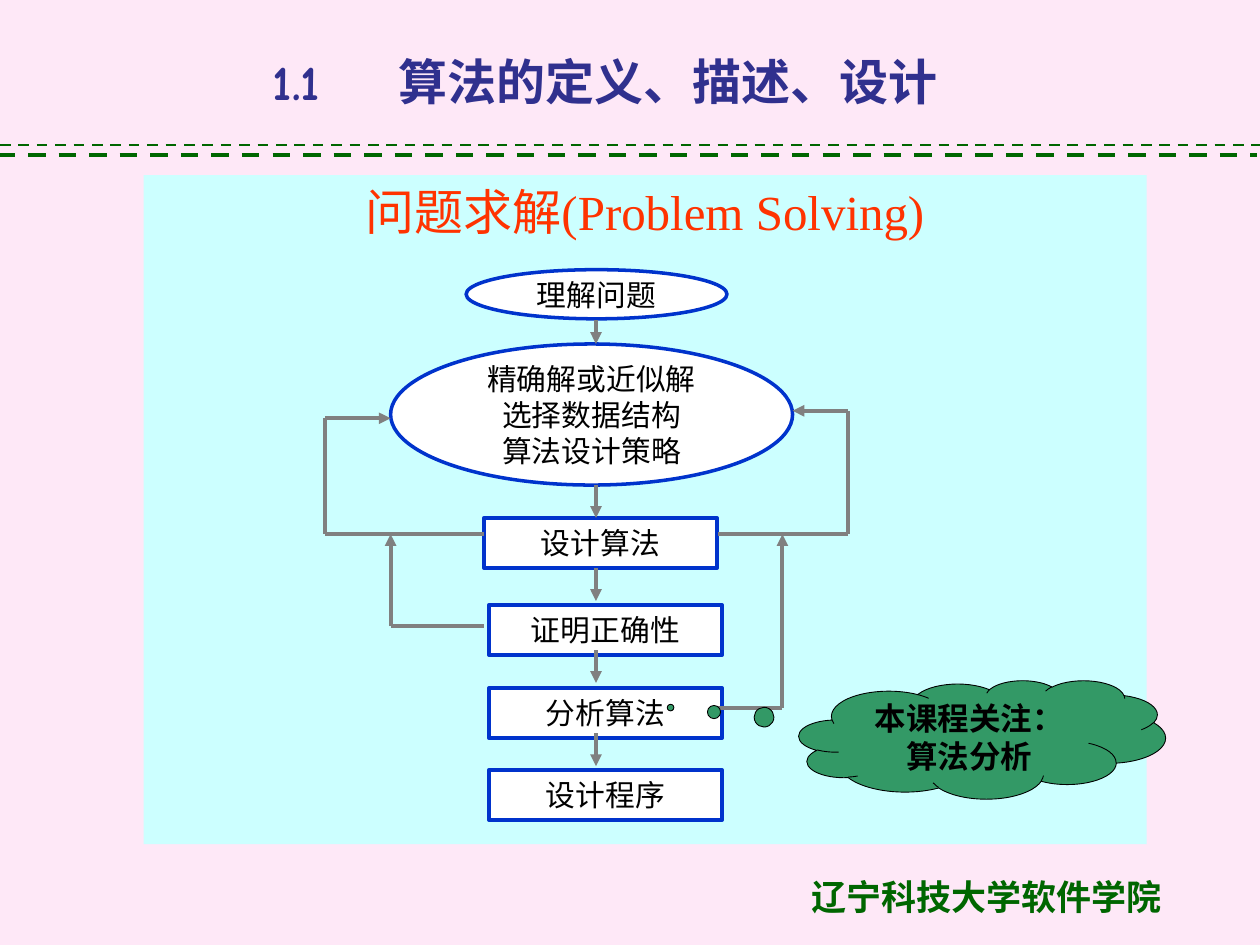
from dataclasses import dataclass
from itertools import pairwise

from pptx import Presentation
from pptx.dml.color import RGBColor
from pptx.enum.dml import MSO_LINE
from pptx.enum.shapes import MSO_CONNECTOR, MSO_SHAPE
from pptx.enum.text import MSO_ANCHOR, MSO_AUTO_SIZE, PP_ALIGN
from pptx.oxml.ns import qn
from pptx.util import Inches, Pt
from lxml import etree

RECT, OVAL, CLOUD = MSO_SHAPE.RECTANGLE, MSO_SHAPE.OVAL, MSO_SHAPE.CLOUD_CALLOUT
STRAIGHT = MSO_CONNECTOR.STRAIGHT
DASH = MSO_LINE.DASH
TOP, MIDDLE = MSO_ANCHOR.TOP, MSO_ANCHOR.MIDDLE
LEFT, CENTER = PP_ALIGN.LEFT, PP_ALIGN.CENTER
FIT_SHAPE = MSO_AUTO_SIZE.SHAPE_TO_FIT_TEXT


@dataclass(frozen=True)
class Theme:
    background: str = "FEE8F7"
    panel: str = "CCFFFF"
    node: str = "FFFFFF"
    border: str = "0033CC"
    arrow: str = "808080"
    green: str = "006600"
    cloud: str = "339966"
    heading: str = "30308E"
    topic: str = "FF3300"
    ink: str = "000000"
    serif: str = "Times New Roman"
    sans: str = "Arial"
    display: str = "Comic Neue"
    heading_size: float = 28
    footer_size: float = 20
    cloud_size: float = 18
    node_size: float = 17
    border_width: float = 2
    arrow_width: float = 2.25


def rgb(value):
    return RGBColor.from_string(value)


def write(s, text, *, font, size, color, bold=False, align=CENTER,
          anchor=TOP, wrap=True, tab=None):
    tf = s.text_frame
    tf.word_wrap = wrap
    tf.vertical_anchor = anchor
    for i, line in enumerate(text.split("\n")):
        p = tf.add_paragraph() if i else tf.paragraphs[0]
        p.alignment = align
        if tab:
            tabs = etree.SubElement(p._p.get_or_add_pPr(), qn("a:tabLst"))
            etree.SubElement(tabs, qn("a:tab"), pos=str(Inches(tab)), algn="l")
        r = p.add_run()
        r.text = line
        r.font.name = font
        r.font.size = Pt(size)
        r.font.bold = bold
        r.font.color.rgb = rgb(color)


class SlideBuilder:
    def __init__(self, prs, theme):
        self.theme = theme
        self.slide = prs.slides.add_slide(prs.slide_layouts[6])
        fill = self.slide.background.fill
        fill.solid()
        fill.fore_color.rgb = rgb(theme.background)

    def shape(self, kind, box, fill, line=None, width=0):
        s = self.slide.shapes.add_shape(kind, *map(Inches, box))
        s.shadow.inherit = False
        s.fill.solid()
        s.fill.fore_color.rgb = rgb(fill)
        if line:
            s.line.color.rgb = rgb(line)
            s.line.width = Pt(width)
        else:
            s.line.fill.background()
        return s

    def textbox(self, box, text, **fmt):
        s = self.slide.shapes.add_textbox(*map(Inches, box))
        write(s, text, **fmt)
        return s

    def node(self, kind, box, text):
        t = self.theme
        s = self.shape(kind, box, t.node, t.border, t.border_width)
        write(s, text, font=t.sans, size=t.node_size, color=t.ink,
              anchor=MIDDLE, wrap=False)

    def line(self, start, end, color, width, dash=None, arrow=False):
        s = self.slide.shapes.add_connector(STRAIGHT, *map(Inches, (*start, *end)))
        s.line.color.rgb = rgb(color)
        s.line.width = Pt(width)
        if dash:
            s.line.dash_style = dash
        if arrow:
            etree.SubElement(s.line._get_or_add_ln(), qn("a:tailEnd"), type="triangle")
        etree.SubElement(s._element.spPr, qn("a:effectLst"))

    def route(self, *points):
        t = self.theme
        for start, end in pairwise(points):
            self.line(start, end, t.arrow, t.arrow_width, arrow=end == points[-1])


def main():
    prs = Presentation()
    prs.slide_width, prs.slide_height = Inches(10), Inches(7.5)
    t = Theme()
    b = SlideBuilder(prs, t)

    footer = b.textbox((6.34, 6.9, 3.54, 0.44), "辽宁科技大学软件学院", font=t.serif,
                       size=t.footer_size, color=t.green, bold=True, align=LEFT)
    footer.text_frame.auto_size = FIT_SHAPE
    b.line((0, 1.15), (10, 1.15), t.green, 1.5, dash=DASH)
    b.line((-0.02, 1.23), (9.98, 1.23), t.green, 2.5, dash=DASH)

    panel = b.shape(RECT, (1.14, 1.39, 7.96, 5.31), t.panel)
    write(panel, "问题求解(Problem Solving)", font=t.serif,
          size=t.heading_size, color=t.topic)

    b.node(OVAL, (3.7, 2.14, 2.07, 0.39), "理解问题")
    b.node(OVAL, (3.1, 2.73, 3.19, 1.12), "精确解或近似解\n选择数据结构\n算法设计策略")
    for left, top, text in ((3.84, 4.11, "设计算法"), (3.88, 4.8, "证明正确性"),
                            (3.88, 5.46, "分析算法"), (3.88, 6.11, "设计程序")):
        b.node(RECT, (left, top, 1.85, 0.4), text)

    axis = 4.73
    b.route((axis, 2.54), (axis, 2.73))
    for top in (3.85, 4.51, 5.16, 5.82):
        b.route((axis, top), (axis, top + 0.26))

    retry = 4.24
    b.route((3.84, retry), (2.58, retry), (2.58, 3.32), (3.1, 3.32))
    b.route((5.7, retry), (6.73, retry), (6.73, 3.26), (6.29, 3.26))
    b.route((5.7, 5.62), (6.21, 5.62), (6.21, retry))
    b.route((3.84, 4.97), (3.1, 4.97), (3.1, retry))

    b.textbox((1.3, 0.36, 7.09, 0.63), "1.1\t算法的定义、描述、设计 ", font=t.display,
              size=t.heading_size, color=t.heading, bold=True, tab=1)

    cloud = b.shape(CLOUD, (6.34, 5.4, 2.91, 0.94), t.cloud, t.ink, 0.5)
    cloud.adjustments[0], cloud.adjustments[1] = -0.85, -0.27
    write(cloud, "本课程关注：算法分析", font=t.serif, size=t.cloud_size,
          color=t.ink, bold=True, anchor=MIDDLE)

    prs.save("out.pptx")


if __name__ == "__main__":
    main()
